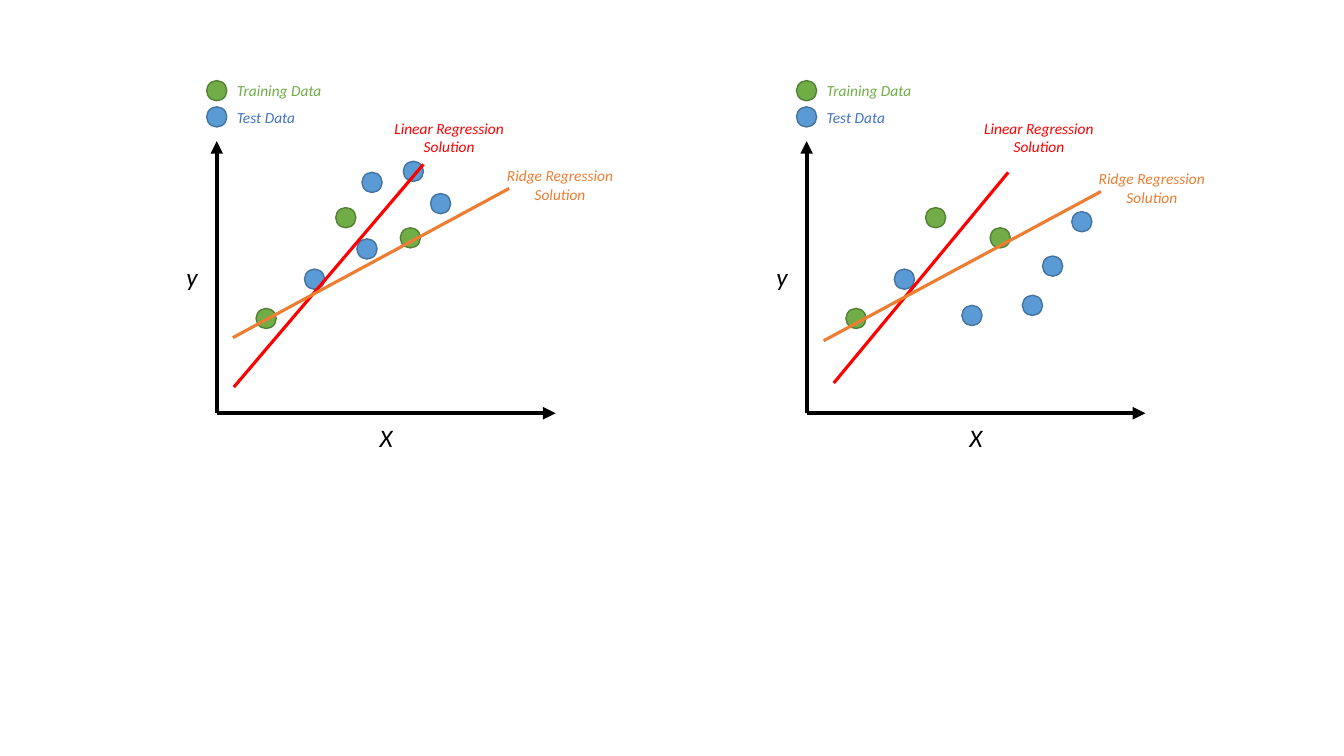
import dataclasses

import pptx
import pptx.dml.color
import pptx.enum.shapes
import pptx.enum.text
import pptx.oxml
import pptx.oxml.ns
import pptx.util

Inches = pptx.util.Inches
Pt = pptx.util.Pt
Align = pptx.enum.text.PP_ALIGN


@dataclasses.dataclass(frozen=True)
class Theme:
    font: str = "Calibri"
    black: str = "000000"
    linear: str = "FF0000"
    ridge: str = "ED7D31"
    train: tuple = ("70AD47", "538035")
    test: tuple = ("5B9BD5", "43739E")
    label: str = "4472C4"
    large: float = 18
    small: float = 11
    axis: float = 3
    fit: float = 2.25
    edge: float = 1
    dot: float = 0.2


THEME = Theme()
TRAIN = [(0.39, 2.26), (1.18, 1.26), (1.82, 1.46)]
SHARED = (0.87, 1.87)
PLOTS = [
    dict(
        box=(8, 0.8, 3.36, 3.3),
        tests=[(1.54, 2.23), (2.34, 1.74), (2.63, 1.3), (2.14, 2.13)],
        linear=[(0.27, 3), (2, 0.91)],
        ridge=[(0.17, 2.58), (2.92, 1.1)],
    ),
    dict(
        box=(2.15, 0.8, 3.36, 3.3),
        tests=[(1.44, 0.91), (2.12, 1.12), (1.85, 0.8), (1.39, 1.57)],
        linear=[(0.17, 3.04), (2.05, 0.83)],
        ridge=[(0.16, 2.55), (2.9, 1.07)],
    ),
]


def color(code):
    return pptx.dml.color.RGBColor.from_string(code)


def add_text(slide, text, box, size=THEME.small, fill=THEME.black, align=Align.CENTER):
    frame = slide.shapes.add_textbox(*map(Inches, box)).text_frame
    frame.word_wrap = True
    frame.auto_size = pptx.enum.text.MSO_AUTO_SIZE.SHAPE_TO_FIT_TEXT
    para = frame.paragraphs[0]
    para.alignment = align
    run = para.add_run()
    run.text = text
    run.font.name = THEME.font
    run.font.size = Pt(size)
    run.font.italic = True
    run.font.color.rgb = color(fill)


def add_dot(slide, x, y, pair):
    size = Inches(THEME.dot)
    kind = pptx.enum.shapes.MSO_SHAPE.OVAL
    dot = slide.shapes.add_shape(kind, Inches(x), Inches(y), size, size)
    dot.shadow.inherit = False
    dot.fill.solid()
    dot.fill.fore_color.rgb = color(pair[0])
    dot.line.color.rgb = color(pair[1])
    dot.line.width = Pt(THEME.edge)


def add_line(slide, start, end, fill, width, arrow=False):
    kind = pptx.enum.shapes.MSO_CONNECTOR.STRAIGHT
    line = slide.shapes.add_connector(kind, *map(Inches, (*start, *end)))
    line.line.color.rgb = color(fill)
    line.line.width = Pt(width)
    if arrow:
        head = pptx.oxml.parse_xml(
            f'<a:tailEnd {pptx.oxml.ns.nsdecls("a")} type="triangle"/>'
        )
        line.line._get_or_add_ln().append(head)
    props = line._element.spPr
    props.append(pptx.oxml.parse_xml(f'<a:effectLst {pptx.oxml.ns.nsdecls("a")}/>'))


def add_axes(slide, box):
    left, top, width, height = box
    base = top + height
    for end in [(left + width, base), (left, top + 0.6)]:
        add_line(slide, (left, base), end, THEME.black, THEME.axis, arrow=True)
    add_text(slide, "X", (left + width / 2 - 0.5, base + 0.04, 1, 0.4), size=THEME.large)
    add_text(slide, "y", (left - 0.49, top + 1.74, 0.49, 0.4), size=THEME.large)


def add_key(slide, box):
    left, top = box[:2]
    rows = [
        ("Training Data", THEME.train, THEME.train[0]),
        ("Test Data", THEME.test, THEME.label),
    ]
    for index, (name, pair, fill) in enumerate(rows):
        y = top + index * 0.26
        add_dot(slide, left - THEME.dot / 2, y, pair)
        place = (left + THEME.dot / 2, y - 0.04, 1.38, 0.29)
        add_text(slide, name, place, fill=fill, align=Align.LEFT)


def add_plot(slide, box, tests, linear, ridge):
    left, top = box[:2]
    add_axes(slide, box)
    for spots, pair in [(TRAIN, THEME.train), ([*tests, SHARED], THEME.test)]:
        for x, y in spots:
            add_dot(slide, left + x, top + y, pair)
    tag = (ridge[1][0] - 0.26, ridge[1][1] - 0.27)
    fits = [
        ("Linear Regression Solution", linear, (1.54, 0.33), THEME.linear),
        ("Ridge Regression Solution", ridge, tag, THEME.ridge),
    ]
    for name, ends, spot, fill in fits:
        start, end = [(left + x, top + y) for x, y in ends]
        add_line(slide, start, end, fill, THEME.fit)
        place = (left + spot[0], top + spot[1], 1.53, 0.47)
        add_text(slide, name, place, fill=fill)
    add_key(slide, box)


def main():
    deck = pptx.Presentation()
    deck.slide_width = Inches(13.33)
    deck.slide_height = Inches(7.5)
    slide = deck.slides.add_slide(deck.slide_layouts[6])
    for plot in PLOTS:
        add_plot(slide, **plot)
    deck.save("out.pptx")


if __name__ == "__main__":
    main()
